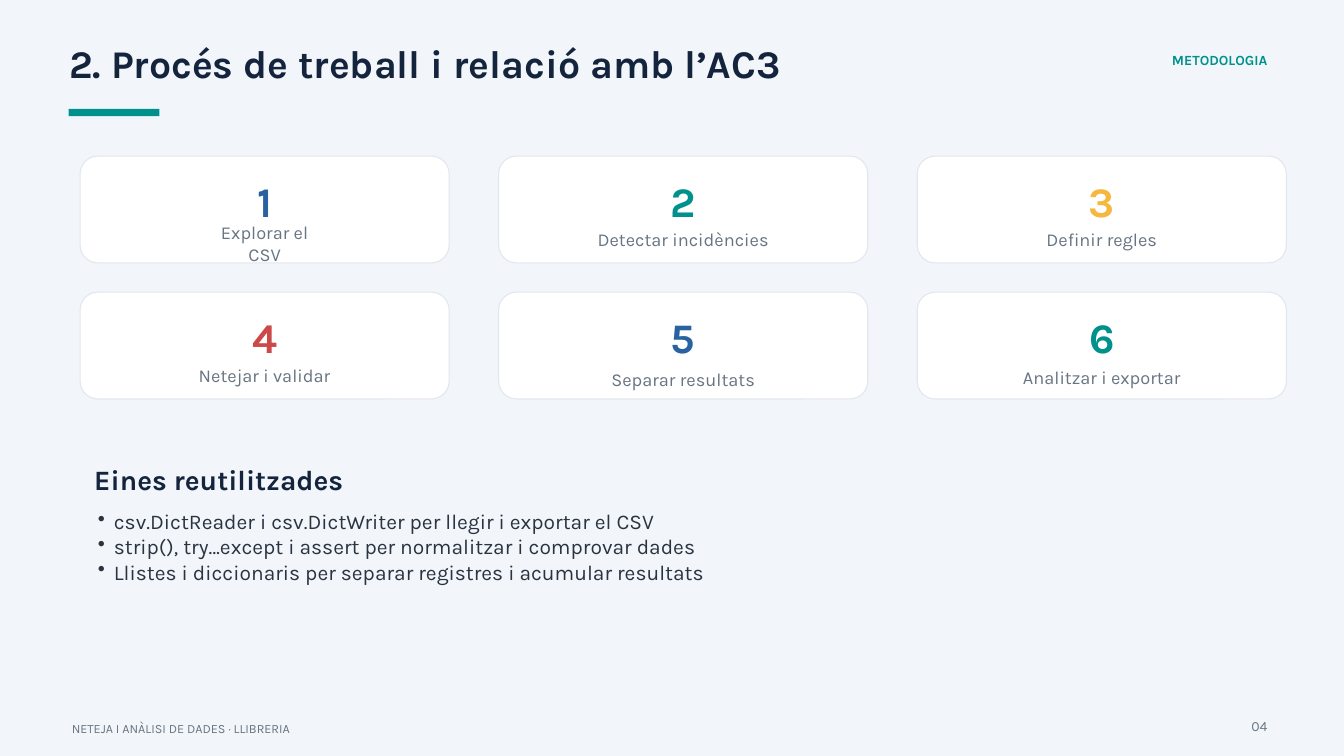
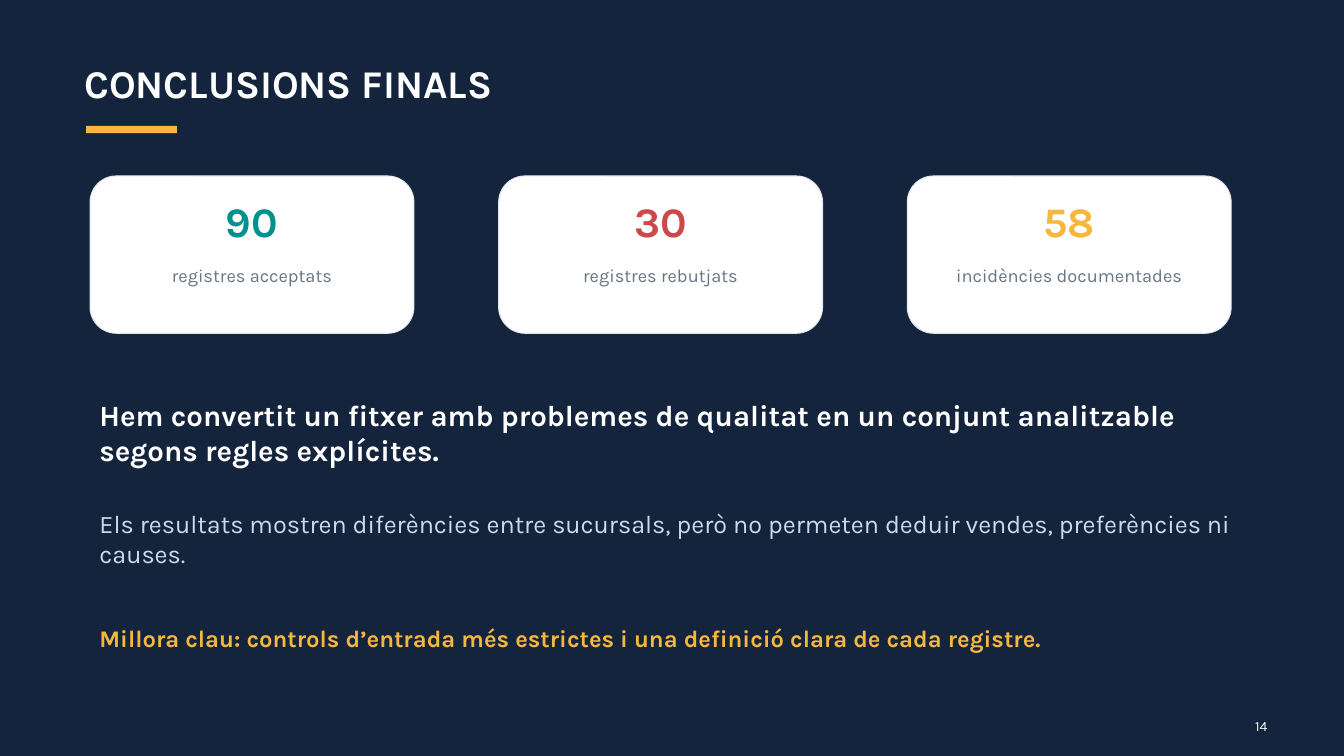
from lxml import etree
from pptx import Presentation
from pptx.dml.color import RGBColor
from pptx.enum import shapes, text
from pptx.oxml import ns
from pptx.util import Pt

FONT = "Karla"
COLORS = {
    "navy": "14243D", "pale": "F2F6FA", "white": "FFFFFF", "border": "E1E7EE",
    "teal": "00918C", "blue": "2962A0", "yellow": "F5B73D", "red": "CD4949",
    "gray": "677482", "ink": "2A3441", "ice": "CADCEC",
}
LEFT, CENTER, RIGHT = text.PP_ALIGN.LEFT, text.PP_ALIGN.CENTER, text.PP_ALIGN.RIGHT

PROCESS = {
    "background": "pale", "title": "2. Procés de treball i relació amb l’AC3",
    "title_at": (74, 42), "title_color": "navy",
    "bar_at": (73.5, 116.8), "bar_color": "teal",
    "page": "04", "page_color": "gray",
    "grid": {"left": 85.8, "top": 167.2, "width": 395.5, "height": 114.5,
             "step_x": 448.5, "step_y": 145.8},
    "cards": [
        ("1", "Explorar el CSV", "blue", 69.8, 129),
        ("2", "Detectar incidències", "teal", 77.6, 361),
        ("3", "Definir regles", "yellow", 77.6, 361),
        ("4", "Netejar i validar", "red", 77.6, 361),
        ("5", "Separar resultats", "blue", 81.6, 361),
        ("6", "Analitzar i exportar", "teal", 80, 361),
    ],
}
TOOLS = [
    "csv.DictReader i csv.DictWriter per llegir i exportar el CSV",
    "strip(), try…except i assert per normalitzar i comprovar dades",
    "Llistes i diccionaris per separar registres i acumular resultats",
]
CONCLUSIONS = {
    "background": "navy", "title": "CONCLUSIONS FINALS",
    "title_at": (90.3, 63.6), "title_color": "white",
    "bar_at": (92.3, 135), "bar_color": "yellow",
    "page": "14", "page_color": "white",
    "grid": {"left": 96.5, "top": 188.6, "width": 347, "height": 168.5,
             "step_x": 437.8, "step_y": 0},
    "cards": [
        ("90", "registres acceptats", "teal", 95, 312),
        ("30", "registres rebutjats", "red", 95, 312),
        ("58", "incidències documentades", "yellow", 95, 312),
    ],
}
MESSAGES = [
    ("Hem convertit un fitxer amb problemes de qualitat en un conjunt analitzable "
     "segons regles explícites.", 425, 1235.5, 31.5, "white", True),
    ("Els resultats mostren diferències entre sucursals, però no permeten deduir "
     "vendes, preferències ni causes.", 544.5, 1225, 27, "ice", False),
    ("Millora clau: controls d’entrada més estrictes i una definició clara de "
     "cada registre.", 668.2, 1225, 25.5, "yellow", True),
]


def rgb(name):
    return RGBColor.from_string(COLORS[name])


def add_bullet(paragraph, indent):
    properties = paragraph._p.get_or_add_pPr()
    properties.set("marL", str(Pt(indent)))
    properties.set("indent", str(-Pt(indent)))
    etree.SubElement(properties, ns.qn("a:buChar")).set("char", "•")


def add_text(slide, lines, left, top, width, size, color, bold=False,
             align=LEFT, bullet_indent=0):
    lines = [lines] if isinstance(lines, str) else lines
    box = slide.shapes.add_textbox(Pt(left), Pt(top), Pt(width), Pt(size * 1.2 * len(lines)))
    frame = box.text_frame
    frame.word_wrap = True
    frame.margin_left = frame.margin_right = frame.margin_top = frame.margin_bottom = 0
    for index, line in enumerate(lines):
        paragraph = frame.paragraphs[0] if index == 0 else frame.add_paragraph()
        paragraph.text = line
        paragraph.alignment = align
        paragraph.line_spacing = Pt(size * 1.2)
        if bullet_indent:
            add_bullet(paragraph, bullet_indent)
        font = paragraph.font
        font.name, font.size, font.bold = FONT, Pt(size), bold
        font.color.rgb = rgb(color)


def add_box(slide, kind, left, top, width, height, fill, line=None):
    shape = slide.shapes.add_shape(kind, Pt(left), Pt(top), Pt(width), Pt(height))
    shape.shadow.inherit = False
    shape.fill.solid()
    shape.fill.fore_color.rgb = rgb(fill)
    if line:
        shape.line.color.rgb = rgb(line)
        shape.line.width = Pt(1.13)
    else:
        shape.line.fill.background()


def add_cards(slide, grid, cards):
    width, height = grid["width"], grid["height"]
    for index, (number, label, color, label_offset, label_width) in enumerate(cards):
        row, column = divmod(index, 3)
        left = grid["left"] + column * grid["step_x"]
        top = grid["top"] + row * grid["step_y"]
        add_box(slide, shapes.MSO_SHAPE.ROUNDED_RECTANGLE, left, top, width, height,
                "white", "border")
        add_text(slide, number, left + 15, top + 21.3, width - 30, 45, color, True, CENTER)
        add_text(slide, label, left + (width - label_width) / 2, top + label_offset,
                 label_width, 19.5, "gray", align=CENTER)


def add_slide(presentation, content):
    slide = presentation.slides.add_slide(presentation.slide_layouts[6])
    slide.background.fill.solid()
    slide.background.fill.fore_color.rgb = rgb(content["background"])
    add_text(slide, content["title"], *content["title_at"], 1200, 42,
             content["title_color"], True)
    add_box(slide, shapes.MSO_SHAPE.RECTANGLE, *content["bar_at"], 97.2, 7.6,
            content["bar_color"])
    add_cards(slide, content["grid"], content["cards"])
    add_text(slide, content["page"], 1311, 769, 47, 15, content["page_color"], align=RIGHT)
    return slide


def main():
    presentation = Presentation()
    presentation.slide_width, presentation.slide_height = Pt(1440), Pt(810)

    process = add_slide(presentation, PROCESS)
    add_text(process, "METODOLOGIA", 1116.7, 55.4, 241.3, 15, "teal", True, RIGHT)
    add_text(process, "Eines reutilitzades", 101, 495.4, 338, 30, "navy", True)
    add_text(process, TOOLS, 105, 545, 1242, 22.5, "ink", bullet_indent=17)
    add_text(process, "NETEJA I ANÀLISI DE DADES · LLIBRERIA", 77, 772.6, 911.5, 13.5, "gray")

    conclusions = add_slide(presentation, CONCLUSIONS)
    for message, top, width, size, color, bold in MESSAGES:
        add_text(conclusions, message, 106.5, top, width, size, color, bold)

    presentation.save("out.pptx")


if __name__ == "__main__":
    main()
